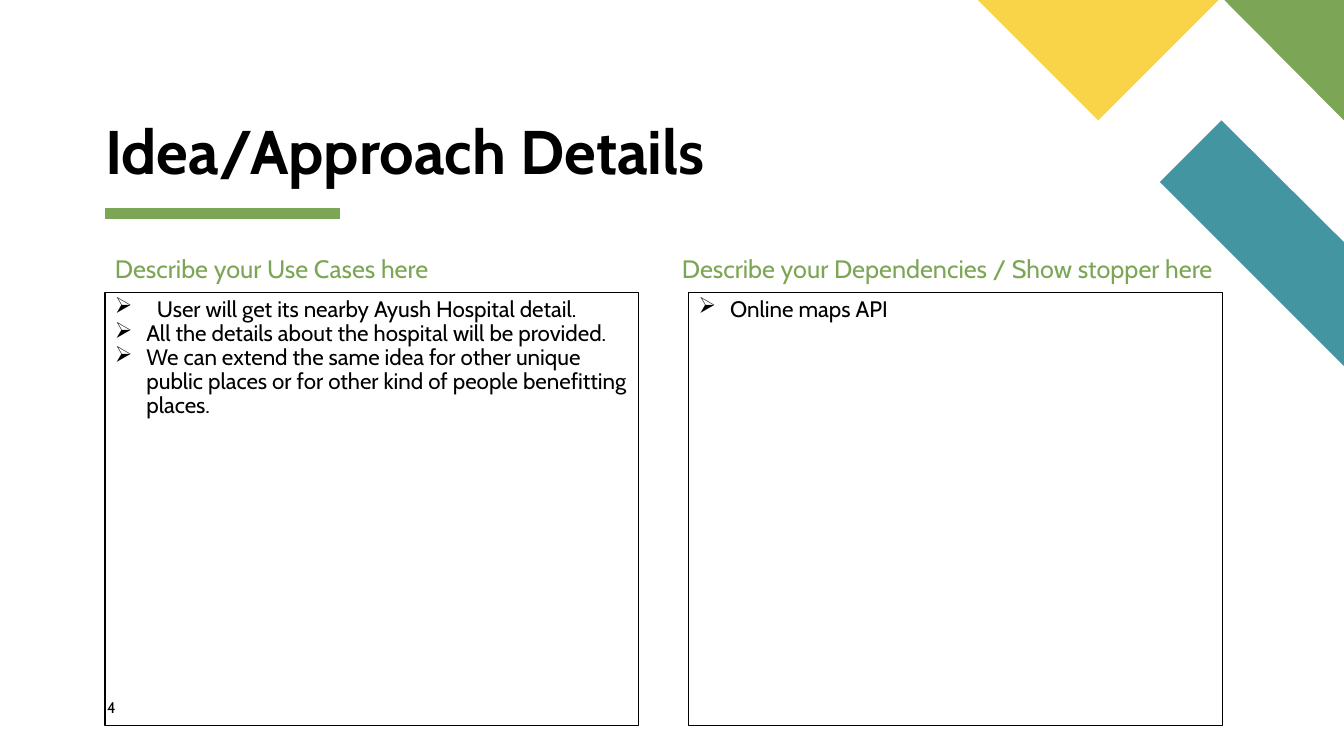
"""Build the idea and approach details slide."""
from dataclasses import dataclass

from lxml import etree
from pptx import Presentation
from pptx import util as u
from pptx.dml.color import RGBColor
from pptx.enum import shapes, text
from pptx.oxml import ns

BLACK = RGBColor(0x00, 0x00, 0x00)
GREEN = RGBColor(0x7C, 0xA6, 0x55)
TEAL = RGBColor(0x44, 0x95, 0xA2)
YELLOW = RGBColor(0xF9, 0xD4, 0x48)
FONT = "Cabin"
BULLET_FONT, BULLET = "Wingdings", "Ø"
PAGE_WIDTH, PAGE_HEIGHT = 960, 540
PANEL_TOP, PANEL_WIDTH, PANEL_HEIGHT = 209.25, 381, 309
HEADING_TOP, HEADING_HEIGHT = 180, 25
HANG = 22.5


@dataclass(frozen=True)
class Decoration:
    """A filled polygon in the page corner."""
    color: RGBColor
    points: tuple[tuple[float, float], ...]


@dataclass(frozen=True)
class Item:
    """A bulleted line with its hanging indent."""
    words: str
    hang: float = HANG


@dataclass(frozen=True)
class Panel:
    """A heading above an outlined list."""
    left: float
    heading: str
    heading_left: float
    heading_width: float
    items: tuple[Item, ...]


DECORATIONS = (
    Decoration(TEAL, ((960, 261.5), (960, 173), (872.5, 86), (828.5, 130))),
    Decoration(GREEN, ((960, 86), (960, 0), (874.5, 0))),
    Decoration(YELLOW, ((698.5, 0), (784.5, 86), (870.5, 0))),
)

USE_CASES = Panel(75, "Describe your Use Cases here", 75, PANEL_WIDTH, (
    Item("User will get its nearby Ayush Hospital detail.", 30),
    Item("All the details about the hospital will be provided."),
    Item("We can extend the same idea for other unique public places "
         "or for other kind of people benefitting places."),
))
DEPENDENCIES = Panel(
    492, "Describe your Dependencies / Show stopper here", 480, 405,
    (Item("Online maps API"),))


def write(para, words: str, *, size: float, color: RGBColor = BLACK,
          bold: bool = False, spacing: float = 0.9) -> None:
    """Add formatted words to a paragraph."""
    para.alignment = text.PP_ALIGN.LEFT
    para.line_spacing = spacing
    span = para.add_run()
    span.text = words
    span.font.name = FONT
    span.font.size = u.Pt(size)
    span.font.bold = bold
    span.font.color.rgb = color


def set_frame(frame, side: float, end: float, anchor=text.MSO_ANCHOR.TOP) -> None:
    """Set wrapping, margins and anchor of a text frame."""
    frame.word_wrap = True
    frame.vertical_anchor = anchor
    frame.margin_left = frame.margin_right = u.Pt(side)
    frame.margin_top = frame.margin_bottom = u.Pt(end)


def add_label(page, words: str, left: float, top: float, width: float, height: float,
              *, side: float = 0, end: float = 0, anchor=text.MSO_ANCHOR.TOP,
              **style) -> None:
    """Add a text box holding one line."""
    box = page.shapes.add_textbox(u.Pt(left), u.Pt(top), u.Pt(width), u.Pt(height))
    set_frame(box.text_frame, side, end, anchor)
    write(box.text_frame.paragraphs[0], words, **style)


def add_bullet(para, hang: float) -> None:
    """Give a paragraph an arrowhead bullet and a hanging indent."""
    properties = para._p.get_or_add_pPr()
    properties.set("marL", str(u.Pt(hang)))
    properties.set("indent", str(-u.Pt(hang)))
    color = etree.SubElement(properties, ns.qn("a:buClr"))
    etree.SubElement(color, ns.qn("a:srgbClr"), val=str(BLACK))
    etree.SubElement(properties, ns.qn("a:buFont"), typeface=BULLET_FONT,
                     pitchFamily="2", charset="2")
    etree.SubElement(properties, ns.qn("a:buChar"), char=BULLET)


def add_decoration(page, decoration: Decoration) -> None:
    """Draw a filled polygon without outline."""
    points = [(u.Pt(x), u.Pt(y)) for x, y in decoration.points]
    builder = page.shapes.build_freeform(*points[0], scale=1.0)
    builder.add_line_segments(points[1:], close=True)
    polygon = builder.convert_to_shape()
    polygon.shadow.inherit = False
    polygon.fill.solid()
    polygon.fill.fore_color.rgb = decoration.color
    polygon.line.fill.background()


def add_underline(page) -> None:
    """Draw the thick rule below the title."""
    rule = page.shapes.add_connector(
        shapes.MSO_CONNECTOR.STRAIGHT, u.Pt(75), u.Pt(152.75), u.Pt(243), u.Pt(152.75))
    rule.line.color.rgb = GREEN
    rule.line.width = u.Pt(8)
    etree.SubElement(rule._element.spPr, ns.qn("a:effectLst"))


def add_panel(page, panel: Panel) -> None:
    """Add a heading and its outlined list."""
    add_label(page, panel.heading, panel.heading_left, HEADING_TOP, panel.heading_width,
              HEADING_HEIGHT, side=7.2, end=3.6, size=18, color=GREEN)
    box = page.shapes.add_shape(
        shapes.MSO_SHAPE.RECTANGLE, u.Pt(panel.left), u.Pt(PANEL_TOP),
        u.Pt(PANEL_WIDTH), u.Pt(PANEL_HEIGHT))
    box.shadow.inherit = False
    box.fill.background()
    box.line.color.rgb = BLACK
    box.line.width = u.Pt(0.75)
    frame = box.text_frame
    set_frame(frame, 7.2, 3.6)
    for index, item in enumerate(panel.items):
        para = frame.add_paragraph() if index else frame.paragraphs[0]
        write(para, item.words, size=16)
        add_bullet(para, item.hang)


def main() -> None:
    """Build and save the deck."""
    deck = Presentation()
    deck.slide_width, deck.slide_height = u.Pt(PAGE_WIDTH), u.Pt(PAGE_HEIGHT)
    page = deck.slides.add_slide(deck.slide_layouts[6])
    add_underline(page)
    for decoration in DECORATIONS:
        add_decoration(page, decoration)
    add_label(page, "Idea/Approach Details", 75, 86, 455, 48,
              anchor=text.MSO_ANCHOR.BOTTOM, size=44, bold=True)
    add_panel(page, USE_CASES)
    add_label(page, "4", 76.5, 498.5, 41, 19.5, size=11, spacing=1.0)
    add_panel(page, DEPENDENCIES)
    deck.save("out.pptx")


if __name__ == "__main__":
    main()
